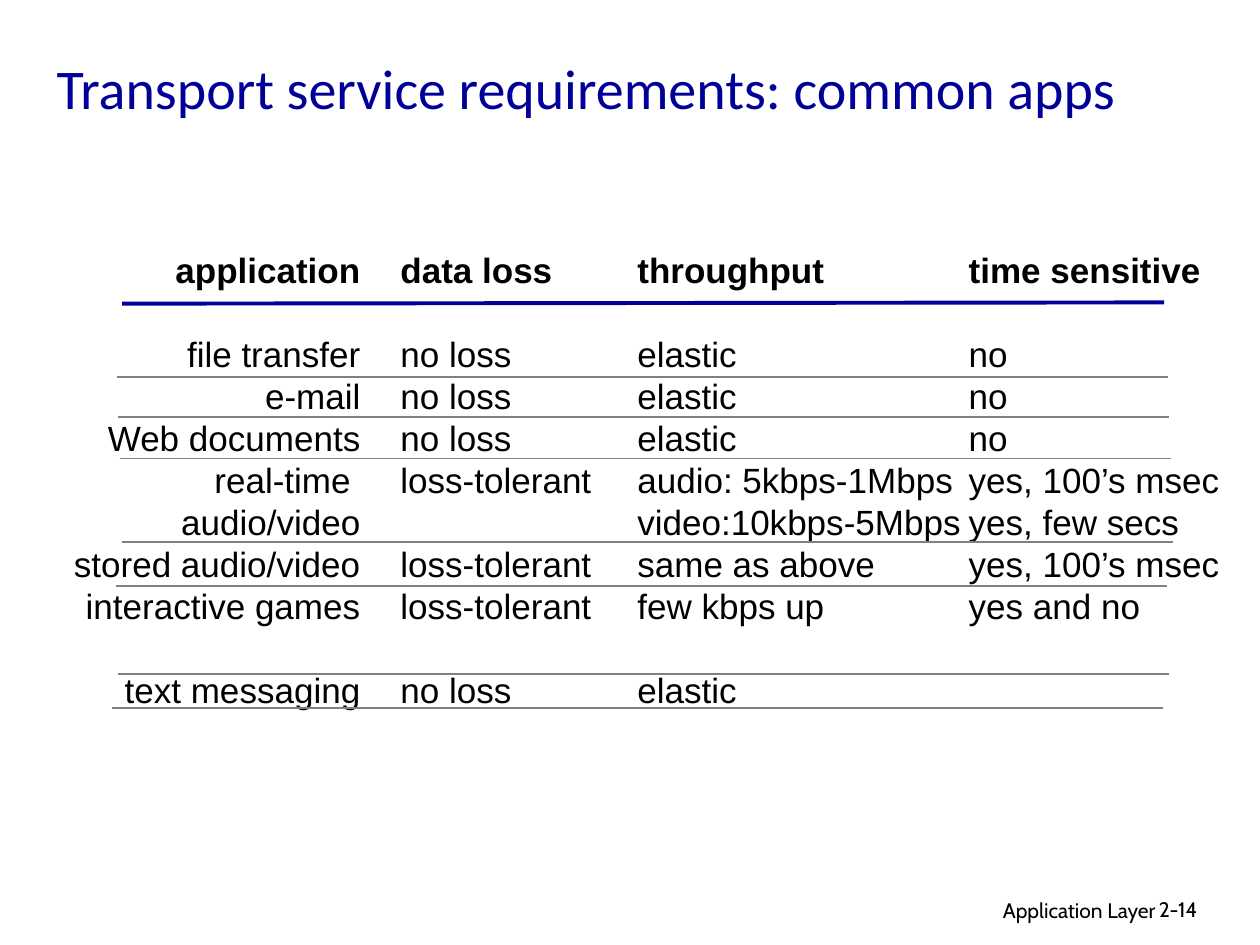
from dataclasses import dataclass

from pptx import Presentation
from pptx import util as u
from pptx.dml.color import RGBColor
from pptx.enum import shapes, text
from pptx.oxml.ns import qn


@dataclass(frozen=True)
class Theme:
    ink: str = "000000"
    accent: str = "000099"
    rule: str = "808080"
    title_font: str = "Calibri"
    body_font: str = "Arial"
    footer_font: str = "Cabin"
    title_size: int = 32
    body_size: int = 20
    footer_size: int = 12
    row_pitch: int = 24


class Page:
    def __init__(self, deck, theme):
        self.theme = theme
        self.slide = deck.slides.add_slide(deck.slide_layouts[6])

    def frame(self, left, top, width, height, anchor=text.MSO_ANCHOR.TOP):
        box = self.slide.shapes.add_textbox(*map(u.Inches, (left, top, width, height)))
        box.text_frame.word_wrap = True
        box.text_frame.vertical_anchor = anchor
        return box.text_frame

    def add_span(self, para, words, font, size, color, bold=False):
        span = para.add_run()
        span.text = words
        style = {"name": font, "size": u.Pt(size), "bold": bold}
        for name, value in style.items():
            setattr(span.font, name, value)
        span.font.color.rgb = RGBColor.from_string(color)

    def title(self, words, place):
        para = self.frame(*place, anchor=text.MSO_ANCHOR.MIDDLE).paragraphs[0]
        self.add_span(para, words, self.theme.title_font, self.theme.title_size,
                      self.theme.accent)

    def footer(self, words, place, align):
        para = self.frame(*place).paragraphs[0]
        para.alignment = align
        self.add_span(para, words, self.theme.footer_font, self.theme.footer_size,
                      self.theme.ink)

    def column(self, cells, place, align):
        """Stack the cells at one pitch; an empty cell becomes space before the next."""
        theme = self.theme
        frame = self.frame(*place)
        gap = 0
        for row, words in enumerate(cells):
            if not words:
                gap += theme.row_pitch
                continue
            para = frame.add_paragraph() if row else frame.paragraphs[0]
            layout = {"alignment": align, "line_spacing": u.Pt(theme.row_pitch)}
            if gap:
                layout["space_before"] = u.Pt(gap)
            for name, value in layout.items():
                setattr(para, name, value)
            self.add_span(para, words, theme.body_font, theme.body_size, theme.ink,
                          bold=row == 0)
            gap = 0

    def rule(self, start, end, color, weight):
        line = self.slide.shapes.add_connector(
            shapes.MSO_CONNECTOR.STRAIGHT, *map(u.Inches, (*start, *end)))
        line.line.color.rgb = RGBColor.from_string(color)
        line.line.width = u.Pt(weight)
        properties = line._element.spPr
        properties.append(properties.makeelement(qn("a:effectLst"), {}))


LEFT, RIGHT = text.PP_ALIGN.LEFT, text.PP_ALIGN.RIGHT

ROWS = [
    ("application", "data loss", "throughput", "time sensitive"),
    ("", "", "", ""),
    ("file transfer", "no loss", "elastic", "no"),
    ("e-mail", "no loss", "elastic", "no"),
    ("Web documents", "no loss", "elastic", "no"),
    ("real-time ", "loss-tolerant", "audio: 5kbps-1Mbps", "yes, 100’s msec"),
    ("audio/video", "", "video:10kbps-5Mbps", "yes, few secs"),
    ("stored audio/video", "loss-tolerant", "same as above", "yes, 100’s msec"),
    ("interactive games", "loss-tolerant", "few kbps up", "yes and no"),
    ("", "", "", ""),
    ("text messaging", "no loss", "elastic", ""),
]
# left, width and alignment of each column
COLUMNS = [(0.4, 2.56, RIGHT), (3.08, 1.8, LEFT), (4.96, 2.82, LEFT), (7.59, 2.26, LEFT)]
COLUMN_TOP, COLUMN_HEIGHT = 1.92, 3.8

# left end and height of each row rule
ROW_RULES = [(0.93, 2.99), (0.94, 3.31), (0.95, 3.64), (0.97, 4.3),
             (0.92, 4.65), (0.94, 5.35), (0.89, 5.62)]
RULE_LENGTH = 8.34


def main():
    deck = Presentation()
    deck.slide_width, deck.slide_height = u.Inches(10), u.Inches(7.5)
    theme = Theme()
    page = Page(deck, theme)

    page.footer("Application Layer", (6.1, 7.07, 3.17, 0.31), RIGHT)
    page.footer("2-14", (9.1, 7.07, 0.74, 0.3), LEFT)
    page.title("Transport service requirements: common apps", (0.35, 0.25, 9.49, 0.89))

    for cells, (left, width, align) in zip(zip(*ROWS), COLUMNS):
        page.column(cells, (left, COLUMN_TOP, width, COLUMN_HEIGHT), align)

    page.rule((0.97, 2.41), (9.24, 2.4), theme.accent, 2.25)
    for left, y in ROW_RULES:
        page.rule((left, y), (left + RULE_LENGTH, y), theme.rule, 1)

    deck.save("out.pptx")


if __name__ == "__main__":
    main()
